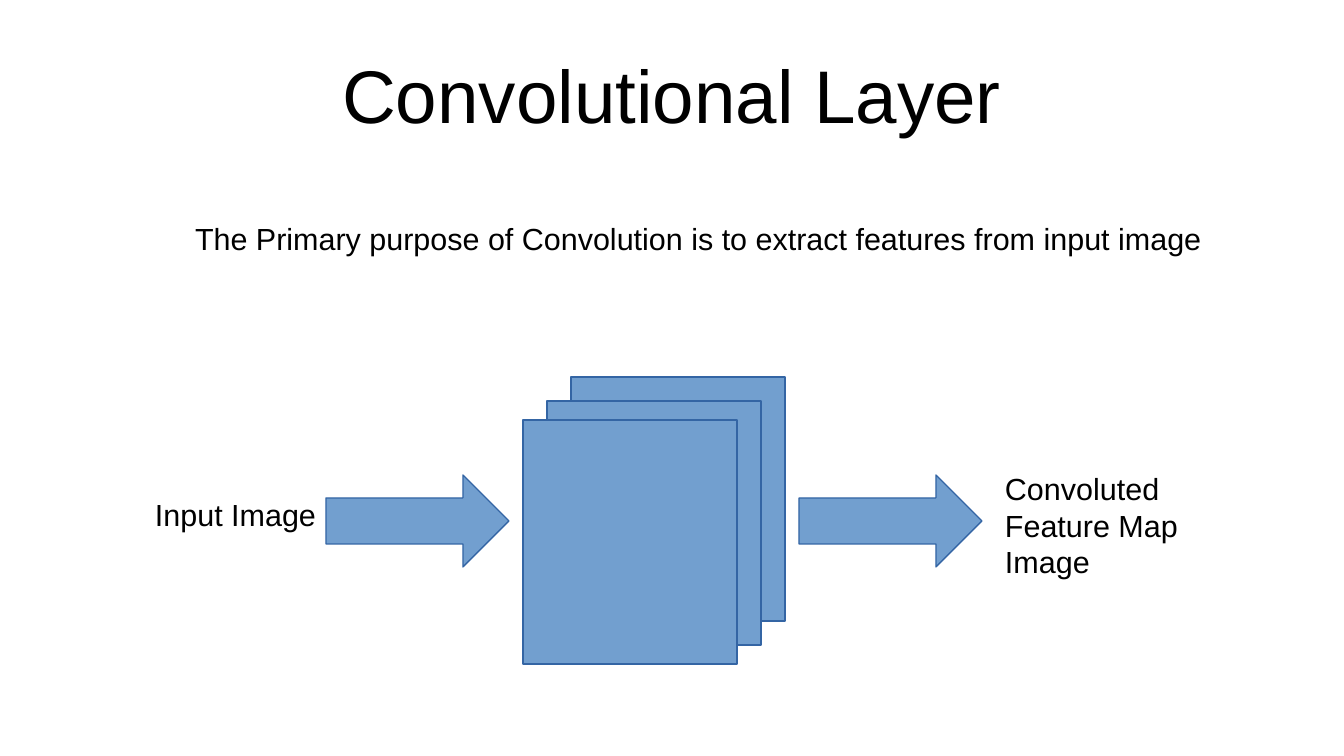
from pptx import Presentation
from pptx.dml.color import RGBColor
from pptx.enum.shapes import MSO_SHAPE
from pptx.enum.text import MSO_ANCHOR, PP_ALIGN
from pptx.util import Emu, Inches, Pt

BLACK = RGBColor(0x00, 0x00, 0x00)
BLUE = RGBColor(0x72, 0x9F, 0xCF)
DARK_BLUE = RGBColor(0x34, 0x65, 0xA4)
EMU_PER_PX = Inches(1) / 122


def px(length):
    return Emu(round(length * EMU_PER_PX))


class SlideBuilder:
    font = "Arial"
    body_size = 18
    title_size = 44

    def __init__(self, slide):
        self.slide = slide

    def text(self, wording, left, top, width, height, wrap=True):
        label = self.slide.shapes.add_textbox(px(left), px(top), px(width), px(height))
        frame = label.text_frame
        frame.word_wrap = wrap
        run = frame.paragraphs[0].add_run()
        run.text = wording
        run.font.name = self.font
        run.font.size = Pt(self.body_size)
        run.font.color.rgb = BLACK
        return frame

    def title(self, wording, left, top, width, height):
        frame = self.text(wording, left, top, width, height)
        frame.margin_left = frame.margin_right = 0
        frame.margin_top = frame.margin_bottom = 0
        frame.vertical_anchor = MSO_ANCHOR.MIDDLE
        heading = frame.paragraphs[0]
        heading.alignment = PP_ALIGN.CENTER
        heading.runs[0].font.size = Pt(self.title_size)

    def block(self, kind, left, top, width, height):
        shape = self.slide.shapes.add_shape(kind, px(left), px(top), px(width), px(height))
        shape.shadow.inherit = False
        shape.fill.solid()
        shape.fill.fore_color.rgb = BLUE
        shape.line.color.rgb = DARK_BLUE
        shape.line.width = Pt(0)

    def arrow(self, left, top):
        self.block(MSO_SHAPE.RIGHT_ARROW, left, top, 183, 92)

    def layer(self, left, top):
        self.block(MSO_SHAPE.FLOWCHART_PROCESS, left, top, 214, 244)


def main():
    presentation = Presentation()
    presentation.slide_width = px(1344)
    presentation.slide_height = px(756)
    builder = SlideBuilder(presentation.slides.add_slide(presentation.slide_layouts[6]))

    builder.title("Convolutional Layer", 67, 30, 1210, 127)
    for arrow_left in (326, 799):
        builder.arrow(arrow_left, 475)
    builder.text("Input Image", 143, 490, 188, 61)
    builder.text("Convoluted Feature Map Image", 993, 464, 243, 115)
    for layer_left, layer_top in ((571, 377), (547, 401), (523, 420)):
        builder.layer(layer_left, layer_top)
    builder.text(
        "The Primary purpose of Convolution is to extract features from input image",
        183, 214, 1031, 46, wrap=False,
    )

    presentation.save("out.pptx")


if __name__ == "__main__":
    main()
